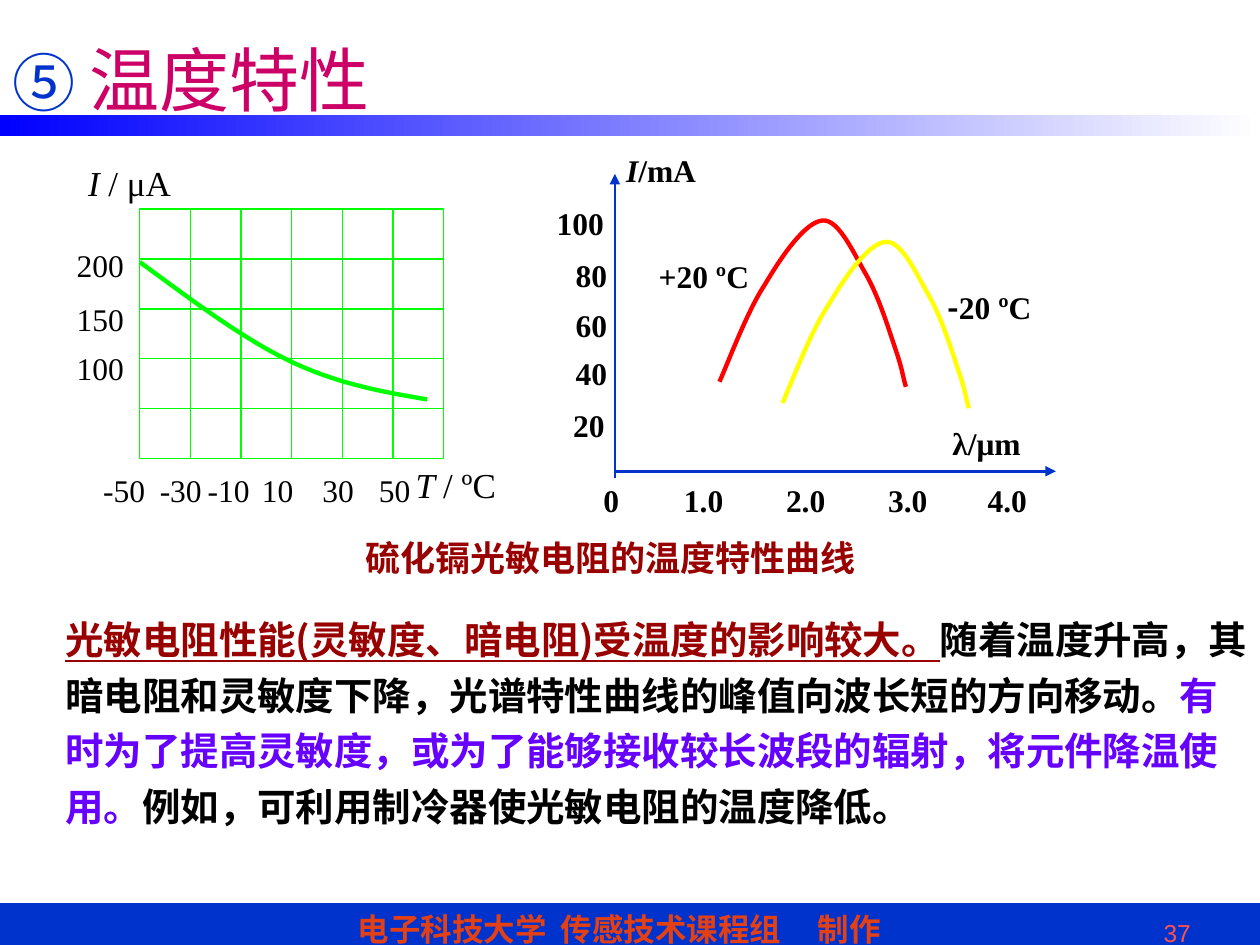
from dataclasses import dataclass
from typing import Any

import pptx
import pptx.dml.color
import pptx.enum.shapes
import pptx.enum.text
import pptx.oxml
import pptx.oxml.ns
import pptx.util

Inches = pptx.util.Inches
RGBColor = pptx.dml.color.RGBColor
Align = pptx.enum.text.PP_ALIGN
Anchor = pptx.enum.text.MSO_ANCHOR
RECTANGLE = pptx.enum.shapes.MSO_SHAPE.RECTANGLE
qn = pptx.oxml.ns.qn

BLUE = RGBColor(0x00, 0x33, 0xCC)
BAR_BLUE = RGBColor(0x00, 0x00, 0xFF)
WHITE = RGBColor(0xFF, 0xFF, 0xFF)
BLACK = RGBColor(0x00, 0x00, 0x00)
ORANGE = RGBColor(0xE3, 0x41, 0x15)
CORAL = RGBColor(0xFF, 0x50, 0x50)
MAGENTA = RGBColor(0xCC, 0x00, 0x66)
DARK_RED = RGBColor(0x99, 0x00, 0x00)
VIOLET = RGBColor(0x66, 0x00, 0xFF)
GREEN = RGBColor(0x00, 0xFF, 0x00)
RED = RGBColor(0xFF, 0x00, 0x00)
YELLOW = RGBColor(0xFF, 0xFF, 0x00)

CJK = "Noto Sans CJK SC"
SERIF = "Times New Roman"
SANS = "Arial"

Point = tuple[float, float]


@dataclass
class Run:
    text: str
    size: float = 18
    font: str = SERIF
    color: RGBColor = BLACK
    bold: bool = False
    italic: bool = False
    underline: bool = False


@dataclass
class Box:
    left: float
    top: float
    width: float
    height: float

    def lengths(self) -> list[int]:
        return [Inches(v) for v in (self.left, self.top, self.width, self.height)]


def write_runs(paragraph: Any, runs: list[Run]) -> None:
    for run in runs:
        piece = paragraph.add_run()
        piece.text = run.text
        formats = {"size": pptx.util.Pt(run.size), "name": run.font, "bold": run.bold,
                   "italic": run.italic, "underline": run.underline}
        for key, value in formats.items():
            setattr(piece.font, key, value)
        piece.font.color.rgb = run.color
        latin = piece.font._element.find(qn("a:latin"))
        east_asian = pptx.oxml.parse_xml(
            f'<a:ea {pptx.oxml.ns.nsdecls("a")} typeface="{CJK}"/>')
        latin.addnext(east_asian)


def add_text(shapes: Any, box: Box, runs: list[Run], align: Any = Align.LEFT,
             anchor: Any = Anchor.TOP, spacing: float = 1.0) -> None:
    frame = shapes.add_textbox(*box.lengths()).text_frame
    frame.word_wrap = True
    frame.vertical_anchor = anchor
    paragraph = frame.paragraphs[0]
    paragraph.alignment = align
    paragraph.line_spacing = spacing
    write_runs(paragraph, runs)


def add_rectangle(shapes: Any, box: Box) -> Any:
    rectangle = shapes.add_shape(RECTANGLE, *box.lengths())
    rectangle.shadow.inherit = False
    return rectangle


def add_line(shapes: Any, start: Point, end: Point, color: RGBColor,
             width: float, arrow: bool = False) -> None:
    ends = [Inches(v) for v in (*start, *end)]
    line = shapes.add_connector(pptx.enum.shapes.MSO_CONNECTOR.STRAIGHT, *ends)
    line.line.color.rgb = color
    line.line.width = pptx.util.Pt(width)
    properties = line._element.spPr
    if arrow:
        pptx.oxml.ns  # namespace helpers are shared with the effect list below
        head = properties.find(qn("a:ln")).makeelement(qn("a:tailEnd"), {"type": "triangle"})
        properties.find(qn("a:ln")).append(head)
    properties.append(properties.makeelement(qn("a:effectLst"), {}))


def add_curve(shapes: Any, points: list[Point], color: RGBColor) -> None:
    """Draw a Bezier chain: a start point, then two controls and an end per segment."""
    start, *rest = [(Inches(x), Inches(y)) for x, y in points]
    builder = shapes.build_freeform(*start)
    builder.add_line_segments(rest, close=False)
    curve = builder.convert_to_shape()
    curve.shadow.inherit = False
    curve.fill.background()
    curve.line.color.rgb = color
    curve.line.width = pptx.util.Pt(2.5)
    outline = next(curve._element.iter(qn("a:path")))
    steps = outline.findall(qn("a:lnTo"))
    for first in range(0, len(steps), 3):
        bezier = outline.makeelement(qn("a:cubicBezTo"), {})
        outline.append(bezier)
        for step in steps[first:first + 3]:
            bezier.append(step[0])
            outline.remove(step)


def add_frame(shapes: Any) -> None:
    footer = add_rectangle(shapes, Box(0, 7.17, 10, 0.4))
    footer.fill.solid()
    footer.fill.fore_color.rgb = BLUE
    footer.line.color.rgb = BLUE
    frame = footer.text_frame
    frame.margin_left = Inches(2.84)
    frame.vertical_anchor = Anchor.TOP
    paragraph = frame.paragraphs[0]
    paragraph.alignment = Align.LEFT
    properties = paragraph._element.get_or_add_pPr()
    tabs = properties.makeelement(qn("a:tabLst"), {})
    properties.append(tabs)
    for stop in (1.61, 3.65):
        tabs.append(tabs.makeelement(qn("a:tab"), {"pos": str(Inches(stop)), "algn": "l"}))
    write_runs(paragraph, [Run("电子科技大学\t传感技术课程组\t制作", 18, SANS, ORANGE, bold=True)])

    bar = add_rectangle(shapes, Box(0, 0.91, 10, 0.17))
    bar.line.fill.background()
    bar.fill.gradient()
    bar.fill.gradient_angle = 0
    for stop, color in zip(bar.fill.gradient_stops, (BAR_BLUE, WHITE)):
        stop.color.rgb = color

    add_text(shapes, Box(7.05, 7.24, 2.5, 0.26), [Run("37", 14, SANS, CORAL)], Align.RIGHT)
    add_text(shapes, Box(0, 0, 3.82, 1.25),
             [Run("⑤ ", 36, SANS, BLUE), Run("温度特性", 40, CJK, MAGENTA)],
             anchor=Anchor.MIDDLE)


def add_current_chart(shapes: Any) -> None:
    grid = Box(1.11, 1.66, 2.41, 1.98)
    right, bottom = grid.left + grid.width, grid.top + grid.height
    border = add_rectangle(shapes, grid)
    border.fill.background()
    border.line.color.rgb = GREEN
    border.line.width = pptx.util.Pt(0.75)
    columns, rows = 6, 5
    for column in range(1, columns):
        x = grid.left + grid.width * column / columns
        add_line(shapes, (x, grid.top), (x, bottom), GREEN, 0.75)
    for row in range(1, rows):
        y = grid.top + grid.height * row / rows
        add_line(shapes, (grid.left, y), (right, y), GREEN, 0.75)
    add_curve(shapes, [(1.11, 2.08), (1.52, 2.38), (1.93, 2.69), (2.31, 2.87),
                       (2.69, 3.05), (3.04, 3.11), (3.39, 3.17)], GREEN)

    for text, top in (("100", 2.72), ("150", 2.33), ("200", 1.9)):
        add_text(shapes, Box(0.51, top, 0.8, 0.4), [Run(text)])
    for text, left in (("-50", 0.72), ("-30", 1.17), ("-10", 1.55),
                       ("10", 1.98), ("30", 2.46), ("50", 2.91)):
        add_text(shapes, Box(left, 3.69, 0.7, 0.54), [Run(text)])
    for symbol, unit, box in (("I ", "/ μA", Box(0.6, 1.23, 1.51, 0.58)),
                              ("T ", "/ ºC", Box(3.2, 3.63, 0.98, 0.59))):
        add_text(shapes, box, [Run(symbol, 20, italic=True), Run(unit, 20)])


def add_spectrum_chart(shapes: Any) -> None:
    add_line(shapes, (4.88, 3.79), (4.88, 1.38), BLUE, 1.5, arrow=True)
    add_line(shapes, (4.88, 3.74), (8.38, 3.74), BLUE, 1.5, arrow=True)
    warm = [(5.71, 3.03), (5.77, 2.9), (5.93, 2.47), (6.07, 2.26),
            (6.2, 2.04), (6.39, 1.76), (6.53, 1.75), (6.66, 1.74),
            (6.78, 2.02), (6.88, 2.19), (6.98, 2.37), (7.06, 2.63),
            (7.11, 2.78), (7.16, 2.92), (7.17, 3.01), (7.19, 3.07)]
    cold = [(x + 0.5, y + 0.17) for x, y in warm]
    add_curve(shapes, warm, RED)
    add_curve(shapes, cold, YELLOW)

    labels = [("20", 4.45, 3.17), ("40", 4.47, 2.76), ("60", 4.47, 2.38),
              ("80", 4.47, 1.98), ("100", 4.32, 1.57),
              ("0", 4.69, 3.77), ("1.0", 5.33, 3.77), ("2.0", 6.14, 3.77),
              ("3.0", 6.95, 3.77), ("4.0", 7.74, 3.77)]
    for text, left, top in labels:
        add_text(shapes, Box(left, top, 0.64, 0.36), [Run(text, bold=True)])
    add_text(shapes, Box(7.46, 3.32, 1.31, 0.5), [Run("λ/μm", bold=True)])
    add_text(shapes, Box(4.87, 1.15, 1.31, 0.5),
             [Run("I", bold=True, italic=True), Run("/mA", bold=True)])
    add_text(shapes, Box(5.13, 1.99, 1.06, 0.42), [Run("+20 ºC", bold=True)])
    add_text(shapes, Box(7.42, 2.24, 1.06, 0.42),
             [Run("-", font=CJK, bold=True), Run("20 ºC", bold=True)])


def main() -> None:
    deck = pptx.Presentation()
    deck.slide_width, deck.slide_height = Inches(10), Inches(7.5)
    shapes = deck.slides.add_slide(deck.slide_layouts[6]).shapes
    add_frame(shapes)
    explanation = [
        Run("光敏电阻性能(灵敏度、暗电阻)受温度的影响较大。", 22, CJK, DARK_RED, True, underline=True),
        Run("随着温度升高，其暗电阻和灵敏度下降，光谱特性曲线的峰值向波长短的方向移动。", 22, CJK, BLACK, True),
        Run("有时为了提高灵敏度，或为了能够接收较长波段的辐射，将元件降温使用。", 22, CJK, VIOLET, True),
        Run("例如，可利用制冷器使光敏电阻的温度降低。", 22, CJK, BLACK, True)]
    add_text(shapes, Box(0.42, 4.77, 9.58, 2.38), explanation, spacing=1.2)
    add_current_chart(shapes.add_group_shape().shapes)
    add_spectrum_chart(shapes.add_group_shape().shapes)
    add_text(shapes, Box(2.8, 4.14, 4.25, 0.5),
             [Run("硫化镉", 20, SANS, DARK_RED, True),
              Run("光敏电阻的温度特性曲线", 20, SERIF, DARK_RED, True)], spacing=1.2)
    deck.save("out.pptx")


if __name__ == "__main__":
    main()
